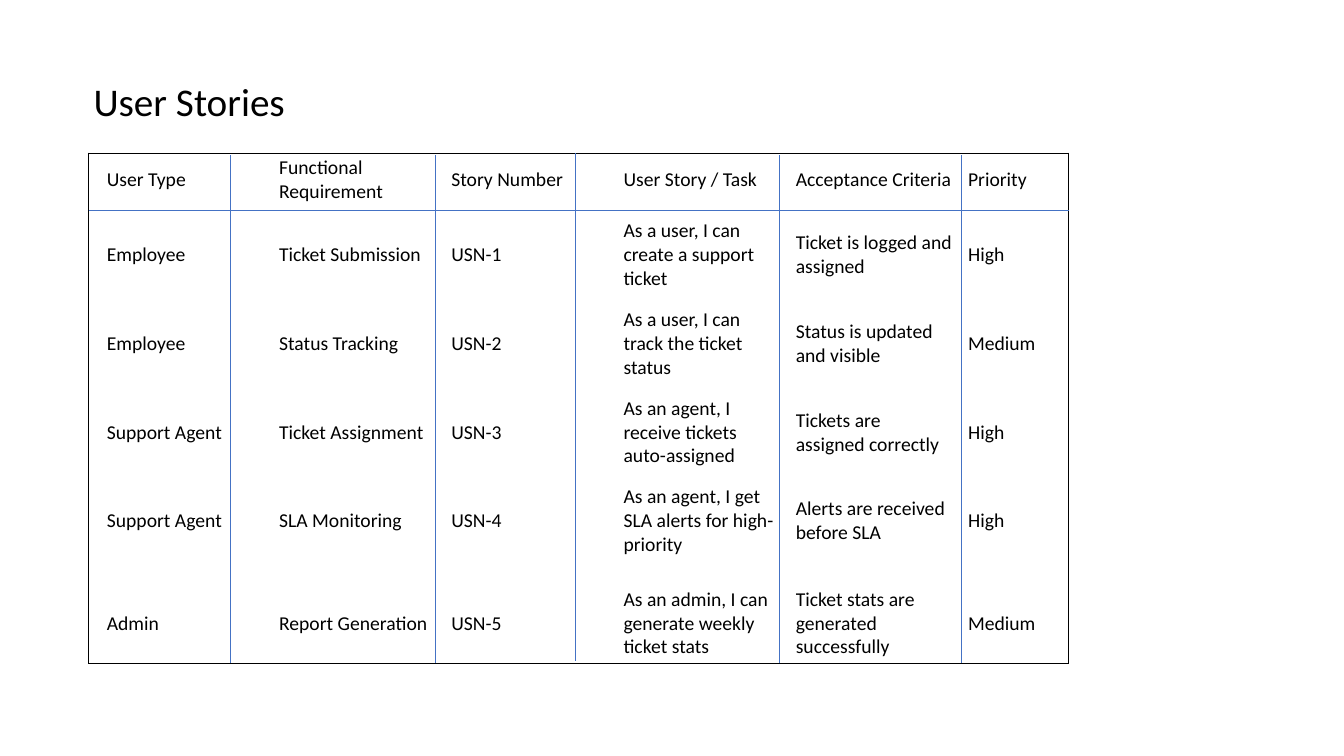
from lxml import etree
from pptx import Presentation
from pptx import util as u
from pptx.dml.color import RGBColor
from pptx.enum import shapes, text
from pptx.oxml import ns

TITLE = "User Stories"
STORIES = [
    ("User Type", "Functional Requirement", "Story Number",
     "User Story / Task", "Acceptance Criteria", "Priority"),
    ("Employee", "Ticket Submission", "USN-1",
     "As a user, I can create a support ticket",
     "Ticket is logged and assigned", "High"),
    ("Employee", "Status Tracking", "USN-2",
     "As a user, I can track the ticket status",
     "Status is updated and visible", "Medium"),
    ("Support Agent", "Ticket Assignment", "USN-3",
     "As an agent, I receive tickets auto-assigned",
     "Tickets are assigned correctly", "High"),
    ("Support Agent", "SLA Monitoring", "USN-4",
     "As an agent, I get SLA alerts for high-priority",
     "Alerts are received before SLA", "High"),
    ("Admin", "Report Generation", "USN-5",
     "As an admin, I can generate weekly ticket stats",
     "Ticket stats are generated successfully", "Medium"),
]
ROW_HEIGHTS = [0.62, 0.88, 0.88, 0.88, 0.88, 1.15]
STORY_LEFT, STORY_TOP, STORY_WIDTH = 0.98, 1.47, 10.25
FRAME_LEFT, FRAME_TOP, FRAME_WIDTH, FRAME_HEIGHT = 0.88, 1.52, 9.72, 5.06
DIVIDERS = [(2.28, 1.54), (4.32, 1.54), (5.71, 1.52), (7.73, 1.54), (9.53, 1.54)]
DIVIDER_HEIGHT = 5.04
HEADER_BOTTOM = 2.09

BLACK = RGBColor(0x00, 0x00, 0x00)
BLUE = RGBColor(0x44, 0x72, 0xC4)
PLAIN_STYLE = "{2D5ABB26-0587-4C30-8999-92F81FD0307C}"
CELL_FORMAT = {
    "vertical_anchor": text.MSO_ANCHOR.MIDDLE,
    "margin_left": u.Inches(0.08), "margin_right": u.Inches(0.08),
    "margin_top": u.Inches(0.04), "margin_bottom": u.Inches(0.04),
}


def apply(target, values):
    for name, value in values.items():
        setattr(target, name, value)


def write(paragraph, wording, size):
    run = paragraph.add_run()
    run.text = wording
    apply(run.font, {"name": "Calibri", "size": u.Pt(size), "bold": False})
    run.font.color.rgb = BLACK


def add_plain_table(slide, left, top, width, heights, columns):
    frame = slide.shapes.add_table(
        len(heights), columns, u.Inches(left), u.Inches(top),
        u.Inches(width), u.Inches(sum(heights)))
    table = frame.table
    apply(table, {"first_row": False, "horz_banding": False})
    frame.element.find(".//" + ns.qn("a:tableStyleId")).text = PLAIN_STYLE
    for row, height in zip(table.rows, heights):
        row.height = u.Inches(height)
    return table


def add_borders(cell):
    properties = cell._tc.get_or_add_tcPr()
    for side in ("lnL", "lnR", "lnT", "lnB"):
        border = etree.SubElement(properties, ns.qn("a:" + side), w=str(u.Pt(1)))
        fill = etree.SubElement(border, ns.qn("a:solidFill"))
        etree.SubElement(fill, ns.qn("a:srgbClr"), val=str(BLACK))


def add_divider(slide, left, top, right, bottom):
    line = slide.shapes.add_connector(
        shapes.MSO_CONNECTOR.STRAIGHT,
        *(u.Inches(value) for value in (left, top, right, bottom)))
    line.line.color.rgb = BLUE
    line.line.width = u.Pt(0.5)
    etree.SubElement(line.element.spPr, ns.qn("a:effectLst"))


def main():
    presentation = Presentation()
    apply(presentation, {"slide_width": u.Inches(13.33), "slide_height": u.Inches(7.5)})
    slide = presentation.slides.add_slide(presentation.slide_layouts[6])

    title = slide.shapes.add_textbox(
        u.Inches(0.83), u.Inches(0.72), u.Inches(9.17), u.Inches(0.57))
    apply(title.text_frame, {"word_wrap": True,
                             "auto_size": text.MSO_AUTO_SIZE.SHAPE_TO_FIT_TEXT})
    write(title.text_frame.paragraphs[0], TITLE, 28)

    stories = add_plain_table(
        slide, STORY_LEFT, STORY_TOP, STORY_WIDTH, ROW_HEIGHTS, len(STORIES[0]))
    for row, story in zip(stories.rows, STORIES):
        for cell, wording in zip(row.cells, story):
            apply(cell, CELL_FORMAT)
            cell.fill.background()
            write(cell.text_frame.paragraphs[0], wording, 14)

    border = add_plain_table(
        slide, FRAME_LEFT, FRAME_TOP, FRAME_WIDTH, [FRAME_HEIGHT], 1).cell(0, 0)
    add_borders(border)
    border.fill.background()

    for left, top in DIVIDERS:
        add_divider(slide, left, top, left, top + DIVIDER_HEIGHT)
    add_divider(slide, FRAME_LEFT, HEADER_BOTTOM,
                FRAME_LEFT + FRAME_WIDTH, HEADER_BOTTOM)

    presentation.save("out.pptx")


if __name__ == "__main__":
    main()
